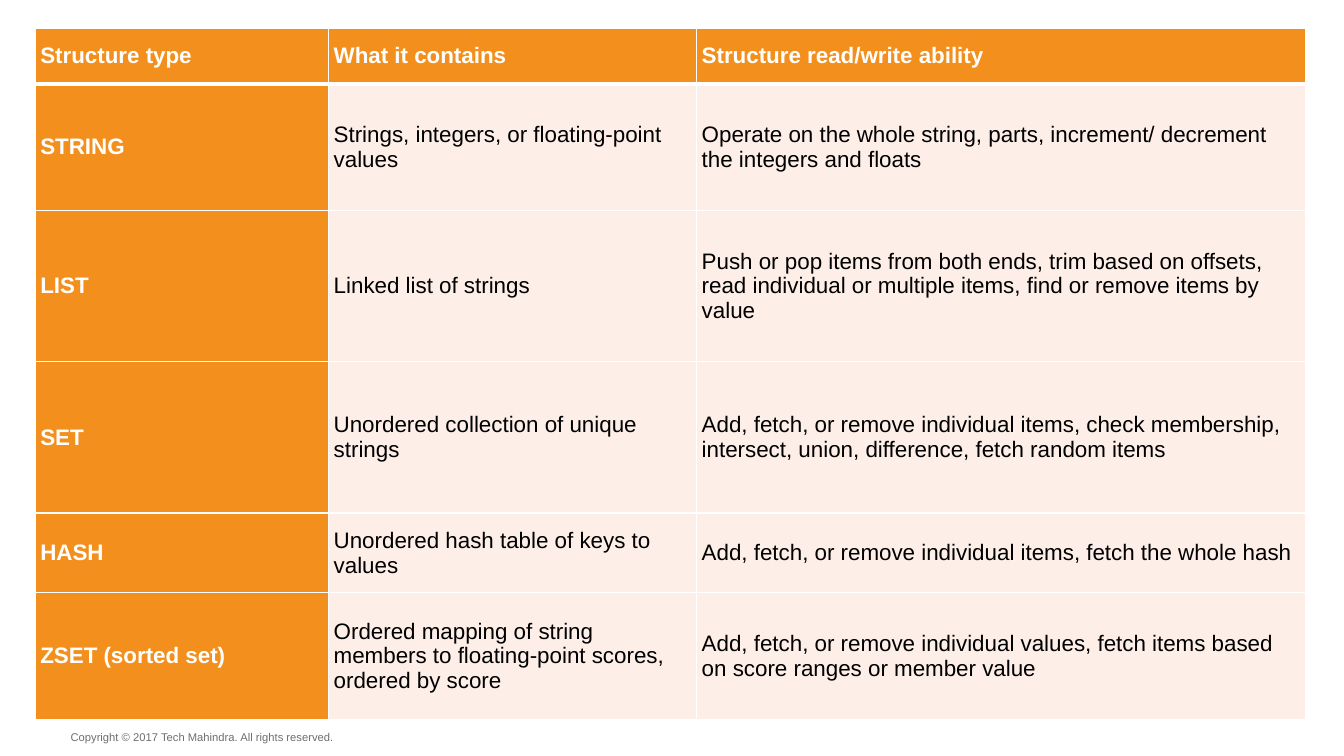
from dataclasses import dataclass

from lxml import etree
from pptx import Presentation
from pptx import util as u
from pptx.dml.color import RGBColor
from pptx.enum import text
from pptx.oxml.ns import qn


@dataclass(frozen=True)
class Theme:
    font: str = "Arial"
    accent: str = "F3901D"
    tint: str = "FDEEE8"
    white: str = "FFFFFF"
    black: str = "000000"
    grey: str = "6D6E71"
    table_size: int = 16
    footer_size: int = 8
    thin: int = 1
    thick: int = 3


ROWS = [
    ("Structure type", "What it contains", "Structure read/write ability"),
    ("STRING", "Strings, integers, or floating-point values",
     "Operate on the whole string, parts, increment/ decrement the integers and floats"),
    ("LIST", "Linked list of strings",
     "Push or pop items from both ends, trim based on offsets, "
     "read individual or multiple items, find or remove items by value"),
    ("SET", "Unordered collection of unique strings",
     "Add, fetch, or remove individual items, check membership, "
     "intersect, union, difference, fetch random items"),
    ("HASH", "Unordered hash table of keys to values",
     "Add, fetch, or remove individual items, fetch the whole hash"),
    ("ZSET (sorted set)",
     "Ordered mapping of string members to floating-point scores, ordered by score",
     "Add, fetch, or remove individual values, "
     "fetch items based on score ranges or member value"),
]
COLUMN_WIDTHS = [2.91, 3.65, 6.04]
ROW_HEIGHTS = [0.55, 1.26, 1.5, 1.5, 0.79, 1.26]


class SlideBuilder:
    def __init__(self, slide, theme):
        self.slide = slide
        self.theme = theme

    def format_text(self, frame, size, color, bold=False):
        for paragraph in frame.paragraphs:
            for run in paragraph.runs:
                run.font.name = self.theme.font
                run.font.size = u.Pt(size)
                run.font.bold = bold
                run.font.color.rgb = RGBColor.from_string(color)

    def border(self, cell, side, width):
        """Draw one cell edge; call before the fill is set, as the schema orders them."""
        properties = cell._tc.get_or_add_tcPr()
        line = etree.SubElement(properties, qn(f"a:ln{side}"), w=str(u.Pt(width)))
        fill = etree.SubElement(line, qn("a:solidFill"))
        etree.SubElement(fill, qn("a:srgbClr"), val=self.theme.white)

    def cell(self, cell, content, is_heading, thick_side):
        theme = self.theme
        for side in "LRTB":
            self.border(cell, side, theme.thick if side == thick_side else theme.thin)
        cell.fill.solid()
        cell.fill.fore_color.rgb = RGBColor.from_string(
            theme.accent if is_heading else theme.tint)
        cell.margin_left = cell.margin_right = u.Inches(0.05)
        cell.margin_top = cell.margin_bottom = u.Inches(0.03)
        cell.vertical_anchor = text.MSO_ANCHOR.MIDDLE
        cell.text_frame.text = content
        self.format_text(cell.text_frame, theme.table_size,
                         theme.white if is_heading else theme.black, is_heading)

    def table(self, left, top, rows, widths, heights):
        table = self.slide.shapes.add_table(
            len(rows), len(widths), u.Inches(left), u.Inches(top),
            u.Inches(sum(widths)), u.Inches(sum(heights))).table
        table.first_col = True
        table.horz_banding = False
        for column, width in zip(table.columns, widths):
            column.width = u.Inches(width)
        for row, height in zip(table.rows, heights):
            row.height = u.Inches(height)
        for i, contents in enumerate(rows):
            for j, content in enumerate(contents):
                self.cell(table.cell(i, j), content, i == 0 or j == 0,
                          {0: "B", 1: "T"}.get(i))

    def footer(self, left, top, width, height, content):
        box = self.slide.shapes.add_textbox(
            u.Inches(left), u.Inches(top), u.Inches(width), u.Inches(height))
        frame = box.text_frame
        frame.margin_left = frame.margin_right = 0
        frame.margin_top = frame.margin_bottom = 0
        frame.word_wrap = False
        frame.auto_size = text.MSO_AUTO_SIZE.SHAPE_TO_FIT_TEXT
        frame.text = content
        self.format_text(frame, self.theme.footer_size, self.theme.grey)


def main():
    presentation = Presentation()
    presentation.slide_width = u.Inches(13.33)
    presentation.slide_height = u.Inches(7.5)
    blank_layout = presentation.slide_layouts[6]
    builder = SlideBuilder(presentation.slides.add_slide(blank_layout), Theme())
    builder.footer(0.7, 7.25, 2.66, 0.13,
                   "Copyright © 2017 Tech Mahindra. All rights reserved.")
    builder.table(0.35, 0.28, ROWS, COLUMN_WIDTHS, ROW_HEIGHTS)
    presentation.save("out.pptx")


if __name__ == "__main__":
    main()
